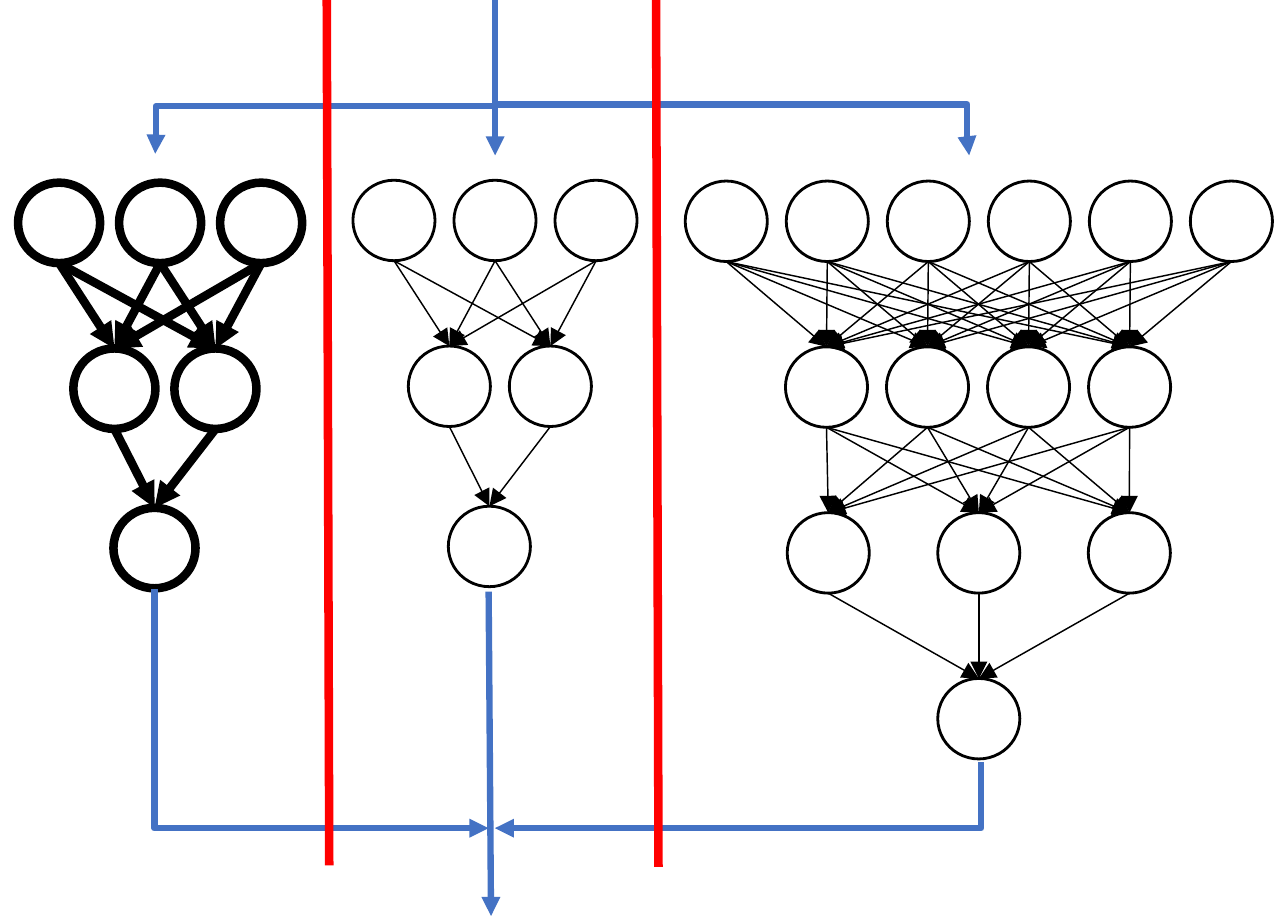
from itertools import pairwise, product

from lxml import etree
from pptx import Presentation
from pptx.dml.color import RGBColor
from pptx.enum.shapes import MSO_CONNECTOR, MSO_SHAPE
from pptx.oxml.ns import qn
from pptx.util import Cm, Pt

STRAIGHT, ELBOW = MSO_CONNECTOR.STRAIGHT, MSO_CONNECTOR.ELBOW
OVAL = MSO_SHAPE.OVAL

COLORS = {"neuron": "FFFFFF", "edge": "000000", "flow": "4472C4", "divider": "FF0000"}

# All lengths are in centimetres.
SLIDE_SIZE = (16, 11.43)
NEURON_WIDTH, NEURON_HEIGHT = 1.02, 1.0
GAP, WIDE_GAP = 1.255, 1.87

# Layers: neuron count, centre x, centre y, distance between neurons
NETWORKS = [
    {"outline": 1, "edge": 0.5, "layers": [
        (6, 12.16, 2.75, GAP), (4, 12.15, 4.81, GAP),
        (3, 12.16, 6.87, WIDE_GAP), (1, 12.16, 8.93, GAP)]},
    {"outline": 1, "edge": 0.5, "layers": [
        (3, 6.15, 2.74, GAP), (2, 6.21, 4.8, GAP), (1, 6.08, 6.79, GAP)]},
    {"outline": 3, "edge": 3, "layers": [
        (3, 1.99, 2.77, GAP), (2, 2.05, 4.83, GAP), (1, 1.92, 6.81, GAP)]},
]

# Start, end, position of the bend along the width (None: straight)
FLOWS = [
    ((6.15, 1.3), (12.04, 1.93), 0.996),
    ((6.15, 0), (6.15, 1.93), None),
    ((6.07, 7.35), (6.1, 11.38), None),
    ((12.19, 9.47), (6.15, 10.29), 0),
    ((1.92, 7.32), (6.07, 10.29), 0),
    ((6.15, 1.32), (1.93, 1.91), 0.998),
]
DIVIDERS = [((8.15, 0), (8.18, 10.77)), ((4.06, 0), (4.09, 10.75))]


def style_line(line, color, width):
    line.color.rgb = RGBColor.from_string(COLORS[color])
    line.width = Pt(width)


def add_line(slide, start, end, color, width, arrow=True, bend=None):
    kind = STRAIGHT if bend is None else ELBOW
    connector = slide.shapes.add_connector(kind, *map(Cm, start + end))
    style_line(connector.line, color, width)
    properties = connector._element.spPr
    if bend is not None:
        adjustments = properties.find(qn("a:prstGeom")).find(qn("a:avLst"))
        etree.SubElement(adjustments, qn("a:gd"), name="adj1",
                         fmla=f"val {round(bend * 100000)}")
    if arrow:
        etree.SubElement(properties.find(qn("a:ln")), qn("a:tailEnd"), type="triangle")
    etree.SubElement(properties, qn("a:effectLst"))


def add_neuron(slide, x, y, outline):
    neuron = slide.shapes.add_shape(
        OVAL, Cm(x - NEURON_WIDTH / 2), Cm(y - NEURON_HEIGHT / 2),
        Cm(NEURON_WIDTH), Cm(NEURON_HEIGHT))
    neuron.shadow.inherit = False
    neuron.fill.solid()
    neuron.fill.fore_color.rgb = RGBColor.from_string(COLORS["neuron"])
    style_line(neuron.line, "edge", outline)


def neuron_centers(count, center_x, y, gap):
    return [(center_x + (i - (count - 1) / 2) * gap, y) for i in range(count)]


def add_network(slide, network):
    """Draw every neuron, then join each layer fully to the next."""
    layers = [neuron_centers(*layer) for layer in network["layers"]]
    for layer in layers:
        for x, y in layer:
            add_neuron(slide, x, y, network["outline"])
    for upper, lower in pairwise(layers):
        for (x1, y1), (x2, y2) in product(upper, lower):
            add_line(slide, (x1, y1 + NEURON_HEIGHT / 2),
                     (x2, y2 - NEURON_HEIGHT / 2), "edge", network["edge"])


def main():
    presentation = Presentation()
    presentation.slide_width, presentation.slide_height = map(Cm, SLIDE_SIZE)
    slide = presentation.slides.add_slide(presentation.slide_layouts[6])
    for network in NETWORKS:
        add_network(slide, network)
    for start, end, bend in FLOWS:
        add_line(slide, start, end, "flow", 2.25, bend=bend)
    for start, end in DIVIDERS:
        add_line(slide, start, end, "divider", 3, arrow=False)
    presentation.save("out.pptx")


if __name__ == "__main__":
    main()
